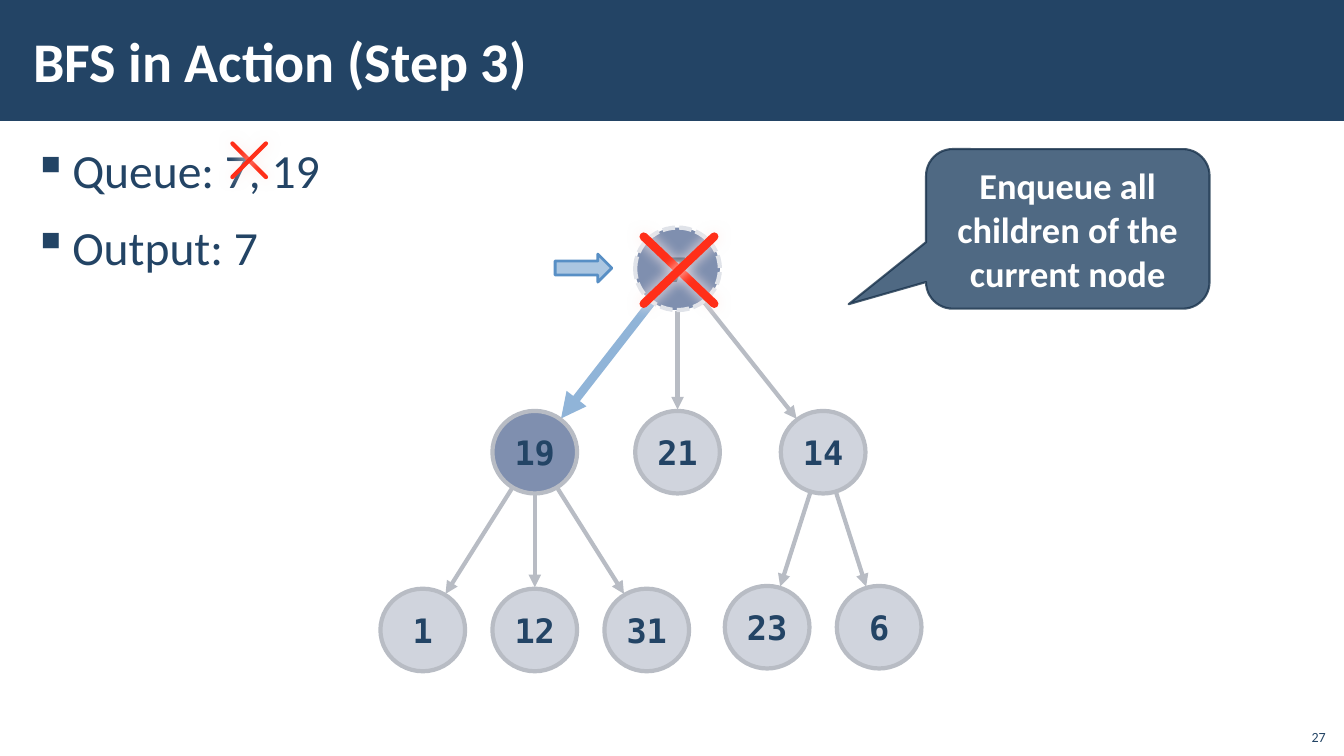
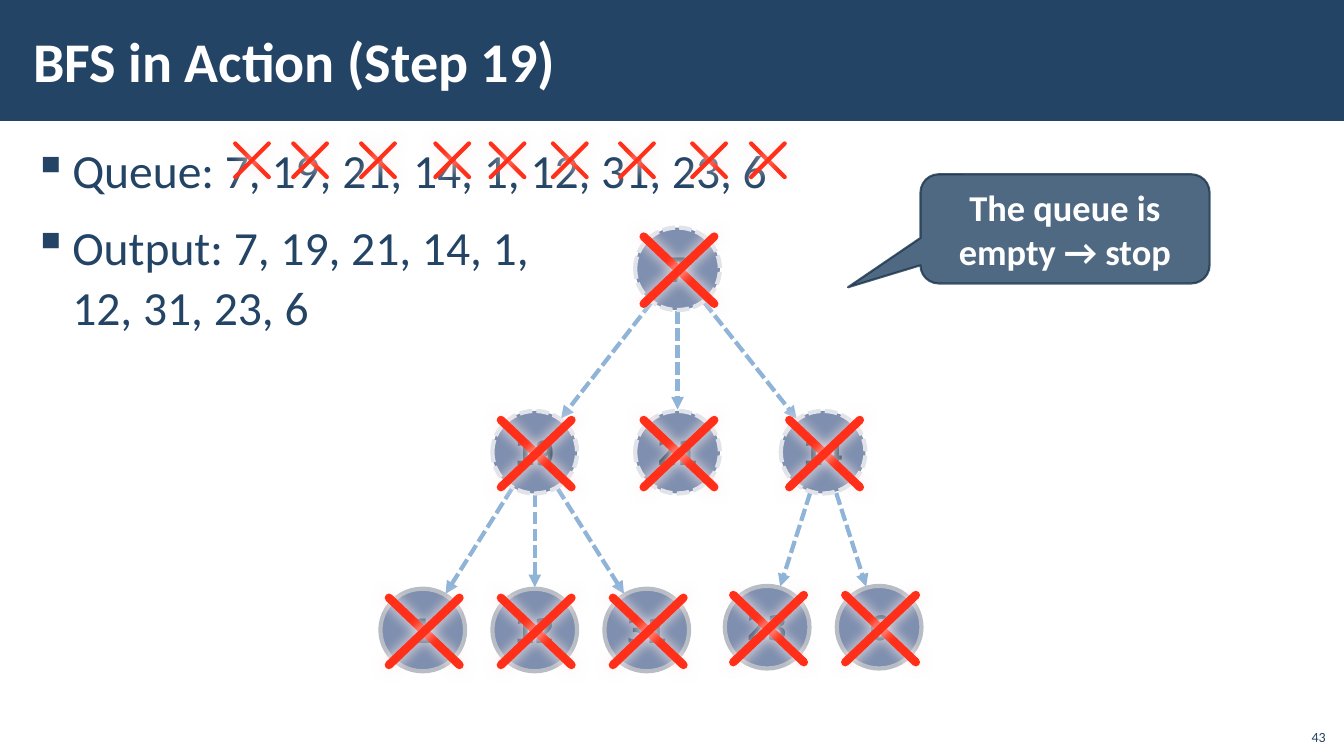
from collections import namedtuple
from math import hypot

from lxml import etree
from pptx import Presentation
from pptx.dml.color import RGBColor
from pptx.enum.dml import MSO_LINE
from pptx.enum.shapes import MSO_CONNECTOR, MSO_SHAPE
from pptx.enum.text import MSO_ANCHOR, PP_ALIGN
from pptx.oxml.ns import qn
from pptx.util import Pt

RECT, OVAL, ARROW = MSO_SHAPE.RECTANGLE, MSO_SHAPE.OVAL, MSO_SHAPE.RIGHT_ARROW
CALLOUT = MSO_SHAPE.ROUNDED_RECTANGULAR_CALLOUT
STRAIGHT = MSO_CONNECTOR.STRAIGHT
DASH = MSO_LINE.SQUARE_DOT
TOP, MIDDLE, BOTTOM = MSO_ANCHOR.TOP, MSO_ANCHOR.MIDDLE, MSO_ANCHOR.BOTTOM
LEFT, CENTER, RIGHT = PP_ALIGN.LEFT, PP_ALIGN.CENTER, PP_ALIGN.RIGHT

SANS, MONO = "Calibri", "DejaVu Sans Mono"
NAVY, DARK, WHITE = "234465", "1A334C", "FFFFFF"
BLUE, LIGHT_BLUE, GREY = "588FC5", "90B4D8", "B8BCC4"
RED, GLOW = "FF2F19", "FFEDEB"

BAND = (0, 0, 960, 86.4)
TITLE = (15, 8, 765, 70)
BODY = (15, 96, 930, 434)
NUMBER = (925, 512.5, 29, 23)
TREE = (272, 162)
POINTER = (396.5, 181.5, 40.5, 20)

NodeStyle = namedtuple("NodeStyle", "fill alpha line dash text")
UNSEEN = NodeStyle("A3ABBC", 50, GREY, None, NAVY)
QUEUED = NodeStyle("002060", 50, GREY, None, NAVY)
DONE = NodeStyle("7F8FAF", 100, "E0E3E9", DASH, DARK)

EdgeStyle = namedtuple("EdgeStyle", "color width dash")
PLAIN = EdgeStyle(GREY, 3, None)
ACTIVE = EdgeStyle(LIGHT_BLUE, 6, None)
WALKED = EdgeStyle(LIGHT_BLUE, 3, DASH)

# Node centres, relative to the top left of the tree
CENTERS = {
    7: (212, 30),
    19: (110, 161), 21: (212, 161), 14: (316, 161),
    1: (30, 288), 12: (110, 288), 31: (190, 288), 23: (276, 286), 6: (356, 286),
}
CHILDREN = {7: (19, 21, 14), 19: (1, 12, 31), 14: (23, 6)}
NODE_SIZE = (60.5, 59)
EDGE_GAP = 30.5
NODE_CROSS = (50.4, 48)
QUEUE_CROSS = (24, 24)
QUEUE_CROSS_Y = 114.5


def rgb(color):
    return RGBColor.from_string(color)


def pts(*values):
    return [Pt(v) for v in values]


def add_alpha(parent, percent):
    if percent < 100:
        color = parent.find(qn("a:solidFill"))[0]
        etree.SubElement(color, qn("a:alpha"), val=str(percent * 1000))


def set_line(sp, color, width, dash=None, alpha=100):
    sp.line.color.rgb = rgb(color)
    sp.line.width = Pt(width)
    if dash is not None:
        sp.line.dash_style = dash
    ln = sp.element.spPr.find(qn("a:ln"))
    add_alpha(ln, alpha)
    return ln


def add_shape(shapes, kind, box, fill, alpha=100):
    sp = shapes.add_shape(kind, *pts(*box))
    sp.shadow.inherit = False
    sp.fill.solid()
    sp.fill.fore_color.rgb = rgb(fill)
    add_alpha(sp.element.spPr, alpha)
    sp.line.fill.background()
    return sp


def add_line(shapes, start, end, color, width, dash=None):
    """Add a straight line; return its a:ln and its empty a:effectLst."""
    line = shapes.add_connector(STRAIGHT, *pts(*start, *end))
    ln = set_line(line, color, width, dash)
    return ln, etree.SubElement(line.element.spPr, qn("a:effectLst"))


def write(p, text, size, color, bold=False, font=SANS, align=LEFT):
    """Add text to a paragraph, with a line break at each newline."""
    p.alignment = align
    for i, part in enumerate(text.split("\n")):
        if i:
            p.add_line_break()
        r = p.add_run()
        r.text = part
        r.font.size = Pt(size)
        r.font.name = font
        r.font.bold = bold
        r.font.color.rgb = rgb(color)


def add_textbox(slide, box, anchor):
    tf = slide.shapes.add_textbox(*pts(*box)).text_frame
    tf.word_wrap = True
    tf.vertical_anchor = anchor
    tf.margin_left = tf.margin_right = Pt(8.64)
    tf.margin_top = tf.margin_bottom = Pt(2.88)
    return tf


def add_header(slide, title):
    add_shape(slide.shapes, RECT, BAND, NAVY)
    write(add_textbox(slide, TITLE, MIDDLE).paragraphs[0], title, 40, WHITE, bold=True)


def add_number(slide, number):
    tf = add_textbox(slide, NUMBER, BOTTOM)
    tf.margin_left, tf.margin_right = pts(0, 7.2)
    write(tf.paragraphs[0], str(number), 10, NAVY, align=RIGHT)


def add_bullets(slide, box, lines):
    tf = add_textbox(slide, box, TOP)
    for i, line in enumerate(lines):
        p = tf.add_paragraph() if i else tf.paragraphs[0]
        pPr = p._p.get_or_add_pPr()
        pPr.set("marL", str(Pt(28)))
        pPr.set("indent", str(-Pt(28)))
        etree.SubElement(pPr, qn("a:buChar"), char="▪")
        p.line_spacing = 1.05
        p.space_before = Pt(6 if i else 0)
        p.space_after = Pt(6)
        write(p, line, 34, NAVY)


def add_callout(slide, box, tip, text):
    sp = add_shape(slide.shapes, CALLOUT, box, NAVY, 80)
    set_line(sp, DARK, 1.5, alpha=80)
    for i, value in enumerate((*tip, 0.167)):
        sp.adjustments[i] = value
    tf = sp.text_frame
    tf.word_wrap = True
    tf.vertical_anchor = MIDDLE
    write(tf.paragraphs[0], text, 26, WHITE, bold=True, align=CENTER)


def add_cross(slide, center, size, width):
    """Add a red X with a pale glow, centred on a point."""
    shapes = slide.shapes.add_group_shape().shapes
    x, y = center
    dx, dy = size[0] / 2, size[1] / 2
    for side in (-dx, dx):
        ln, effects = add_line(shapes, (x + side, y - dy), (x - side, y + dy), RED, width)
        ln.set("cap", "rnd")
        glow = etree.SubElement(effects, qn("a:outerShdw"), blurRad=str(Pt(10)),
                                dist="0", dir="5400000", rotWithShape="0")
        etree.SubElement(glow, qn("a:srgbClr"), val=GLOW)


def add_edge(shapes, parent, child, style):
    """Add an arrow along the line of centres, stopping at both circles."""
    dx, dy = child[0] - parent[0], child[1] - parent[1]
    share = EDGE_GAP / hypot(dx, dy)
    start = (parent[0] + dx * share, parent[1] + dy * share)
    end = (child[0] - dx * share, child[1] - dy * share)
    ln, _ = add_line(shapes, start, end, *style)
    etree.SubElement(ln, qn("a:tailEnd"), type="triangle")


def add_node(shapes, center, value, style):
    w, h = NODE_SIZE
    box = (center[0] - w / 2, center[1] - h / 2, w, h)
    sp = add_shape(shapes, OVAL, box, style.fill, style.alpha)
    set_line(sp, style.line, 3, style.dash)
    tf = sp.text_frame
    tf.word_wrap = False
    tf.vertical_anchor = MIDDLE
    write(tf.paragraphs[0], str(value), 24, style.text, bold=True, font=MONO, align=CENTER)


def add_tree(slide, origin, node_styles, edge_styles, default_edge, crossed):
    """Draw the tree, then cross out the nodes that are finished."""
    centers = {v: (origin[0] + x, origin[1] + y) for v, (x, y) in CENTERS.items()}
    shapes = slide.shapes.add_group_shape().shapes
    for parent, children in CHILDREN.items():
        for child in children:
            style = edge_styles.get((parent, child), default_edge)
            add_edge(shapes, centers[parent], centers[child], style)
    for value, center in centers.items():
        add_node(shapes, center, value, node_styles.get(value, UNSEEN))
    for value in crossed:
        x, y = centers[value]
        add_cross(slide, (x + 1, y + 1), NODE_CROSS, 6)


def add_step(prs, number, title, lines, queue_crosses):
    """Add a slide with its title, queue, output and crossed-out queue items."""
    slide = prs.slides.add_slide(prs.slide_layouts[6])
    add_header(slide, title)
    add_number(slide, number)
    add_bullets(slide, BODY, lines)
    for x in queue_crosses:
        add_cross(slide, (x, QUEUE_CROSS_Y), QUEUE_CROSS, 3)
    return slide


def add_enqueue_step(prs):
    slide = add_step(prs, 27, "BFS in Action (Step 3)",
                     ["Queue: 7, 19", "Output: 7"], [178])
    add_tree(slide, TREE, {7: DONE, 19: QUEUED}, {(7, 19): ACTIVE}, PLAIN, [7])
    pointer = add_shape(slide.shapes, ARROW, POINTER, BLUE, 50)
    set_line(pointer, BLUE, 2)
    add_callout(slide, (661.5, 106.5, 202.5, 114), (-0.773, 0.472),
                "Enqueue all children of the current node")


def add_final_step(prs):
    slide = add_step(prs, 43, "BFS in Action (Step 19)",
                     ["Queue: 7, 19, 21, 14, 1, 12, 31, 23, 6",
                      "Output: 7, 19, 21, 14, 1,\n12, 31, 23, 6"],
                     [180, 221.5, 270, 323, 362.5, 407, 455, 506.5, 548.5])
    add_callout(slide, (657.5, 124.5, 206.5, 78), (-0.751, 0.535),
                "The queue is empty → stop")
    styles = {v: DONE if v in (7, 19, 21, 14) else QUEUED for v in CENTERS}
    add_tree(slide, TREE, styles, {}, WALKED, CENTERS)


def main():
    prs = Presentation()
    prs.slide_width, prs.slide_height = pts(960, 540)
    add_enqueue_step(prs)
    add_final_step(prs)
    prs.save("out.pptx")


if __name__ == "__main__":
    main()
